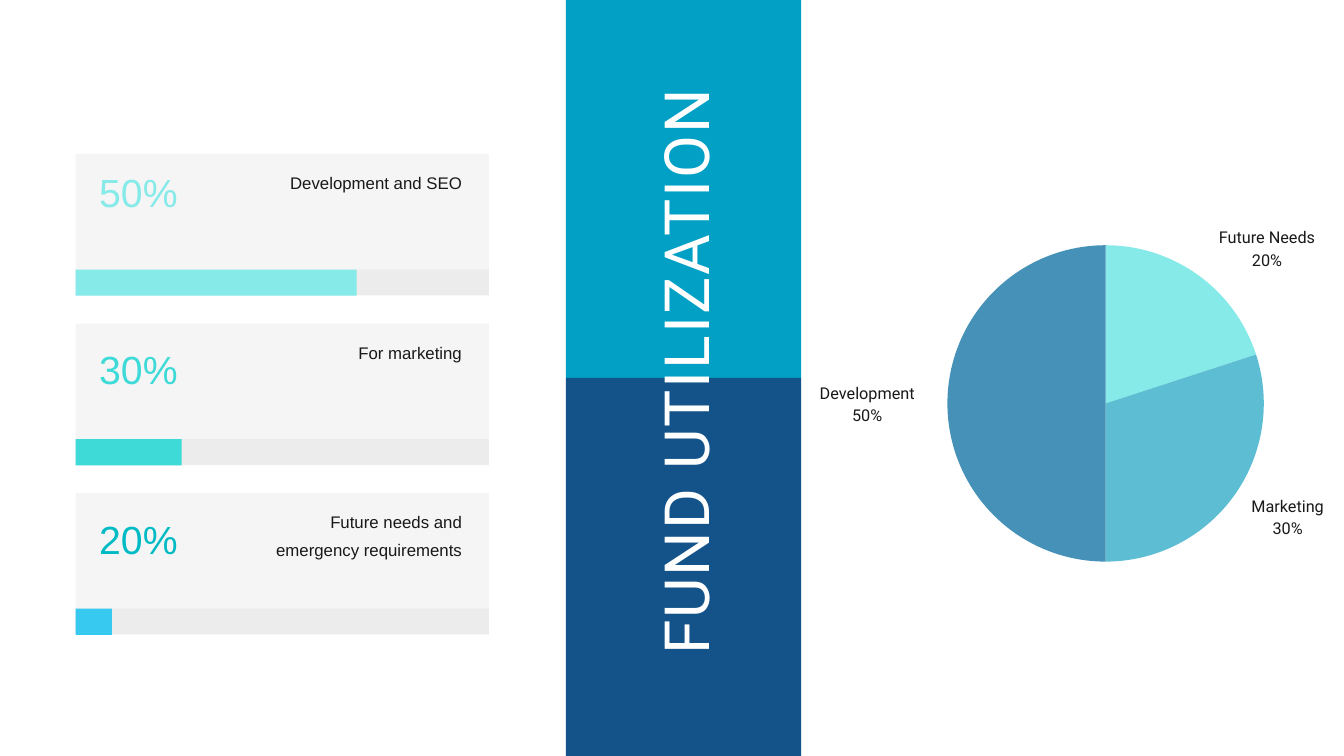
from lxml import etree
from pptx import Presentation
from pptx.chart.data import CategoryChartData
from pptx.dml.color import RGBColor
from pptx.enum import chart as ch, shapes, text
from pptx.oxml import ns
from pptx.util import Cm, Pt

COLORS = {
    "ink": "191919", "white": "FFFFFF", "sky": "01A0C4", "navy": "13538A",
    "aqua": "86EAE9", "turquoise": "3EDAD8", "teal": "00BBC4", "azure": "37C9EF",
    "mid_blue": "5DBDD3", "steel": "4591B8",
}
ALIGN = text.PP_ALIGN

# percentage, its colour, its top in the card, label, bar colour, bar length
FUNDS = [
    ("50%", "aqua", 0.53, "Development and SEO", "aqua", 10.62),
    ("30%", "turquoise", 0.82, "For marketing", "turquoise", 4.01),
    ("20%", "teal", 0.83, "Future needs and emergency requirements", "azure", 1.37),
]
# name, share, colour, label centre and top from the pie's corner
SLICES = [
    ("Future Needs", 0.2, "aqua", 12.08, -0.81),
    ("Marketing", 0.3, "mid_blue", 12.86, 9.35),
    ("Development", 0.5, "steel", -3.03, 5.08),
]


def rgb(name):
    return RGBColor.from_string(COLORS[name])


def add_rect(s, x, y, w, h, color, alpha=None):
    sp = s.shapes.add_shape(shapes.MSO_SHAPE.RECTANGLE, Cm(x), Cm(y), Cm(w), Cm(h))
    sp.shadow.inherit = False
    sp.fill.solid()
    sp.fill.fore_color.rgb = rgb(color)
    sp.line.fill.background()
    if alpha is not None:
        clr = sp.fill._xPr.find(".//" + ns.qn("a:srgbClr"))
        etree.SubElement(clr, ns.qn("a:alpha"), val=str(alpha * 1000))


def add_text(s, x, y, w, h, lines, size, color, font, leading, align=ALIGN.LEFT):
    sp = s.shapes.add_textbox(Cm(x), Cm(y), Cm(w), Cm(h))
    tf = sp.text_frame
    tf.word_wrap = True
    tf.margin_left = tf.margin_right = tf.margin_top = tf.margin_bottom = 0
    for i, line in enumerate(lines):
        p = tf.add_paragraph() if i else tf.paragraphs[0]
        p.text = line
        p.alignment = align
        p.line_spacing = Pt(leading)
        p.font.size = Pt(size)
        p.font.name = font
        p.font.color.rgb = rgb(color)
    return sp


def add_fund_card(s, x, y, w, h, fund):
    percent, color, percent_top, label, bar_color, bar_w = fund
    bar_y, bar_h = y + 4.37, 0.99
    add_rect(s, x, y, w, h, "ink", 4)
    add_rect(s, x, bar_y, w, bar_h, "ink", 4)
    add_rect(s, x, bar_y, bar_w, bar_h, bar_color)
    add_text(s, x + 0.89, y + percent_top, 4.5, 1.8, [percent], 42, color, "Arial", 50.4)
    add_text(s, x + 6.65, y + 0.41, 7.95, 1.02, [label], 18, "ink", "Arial", 30.1,
             ALIGN.RIGHT)


def add_title_band(s, x, y, w, h):
    add_rect(s, x, y, w, h / 2, "sky")
    add_rect(s, x, y + h / 2, w, h / 2, "navy")
    title_w, title_h = 26.37, 3.02
    sp = add_text(s, x + 4.34 - title_w / 2, y + 14.06 - title_h / 2, title_w, title_h,
                  ["FUND UTILIZATION"], 66.8, "white", "Roboto", 87.5, ALIGN.CENTER)
    sp.rotation = 270
    sp.text_frame.paragraphs[0].runs[0]._r.get_or_add_rPr().set("spc", "200")


def fill_plot_area(chart, margin):
    """Pin the plot area to the chart frame, less a margin given as a fraction."""
    plot_area = chart._chartSpace.chart.plotArea
    for old in plot_area.findall(ns.qn("c:layout")):
        plot_area.remove(old)
    layout = etree.Element(ns.qn("c:layout"))
    manual = etree.SubElement(layout, ns.qn("c:manualLayout"))
    size = 1 - 2 * margin
    for tag, val in [("layoutTarget", "inner"), ("xMode", "edge"), ("yMode", "edge"),
                     ("x", margin), ("y", margin), ("w", size), ("h", size)]:
        etree.SubElement(manual, ns.qn("c:" + tag), val=str(val))
    plot_area.insert(0, layout)


def add_fund_pie(s, x, y, d):
    data = CategoryChartData(number_format="0%")
    data.categories = [name for name, *_ in SLICES]
    data.add_series("Funds", [share for _, share, *_ in SLICES])
    margin = 0.1
    frame = d / (1 - 2 * margin)
    inset = frame * margin
    chart = s.shapes.add_chart(ch.XL_CHART_TYPE.PIE, Cm(x - inset), Cm(y - inset),
                               Cm(frame), Cm(frame), data).chart
    chart.has_legend = chart.has_title = False
    chart.font.name = "Roboto"
    chart.font.size = Pt(17.4)
    chart.font.color.rgb = rgb("ink")
    plot = chart.plots[0]
    plot.vary_by_categories = True
    fill_plot_area(chart, margin)

    label_w = 3.9
    for i, (name, share, color, label_x, label_y) in enumerate(SLICES):
        fmt = plot.series[0].points[i].format
        fmt.fill.solid()
        fmt.fill.fore_color.rgb = rgb(color)
        fmt.line.fill.background()
        add_text(s, x + label_x - label_w / 2, y + label_y, label_w, 1.7,
                 [name, f"{share:.0%}"], 17.4, "ink", "Roboto", 24.4, ALIGN.CENTER)


def main():
    prs = Presentation()
    prs.slide_width, prs.slide_height = Cm(50.8), Cm(28.575)
    s = prs.slides.add_slide(prs.slide_layouts[6])
    add_fund_pie(s, 35.81, 9.27, 11.96)
    add_title_band(s, 21.39, 0, 8.89, 28.575)
    for i, fund in enumerate(FUNDS):
        add_fund_card(s, 2.86, 5.82 + 6.41 * i, 15.62, 5.33, fund)
    prs.save("out.pptx")


if __name__ == "__main__":
    main()
